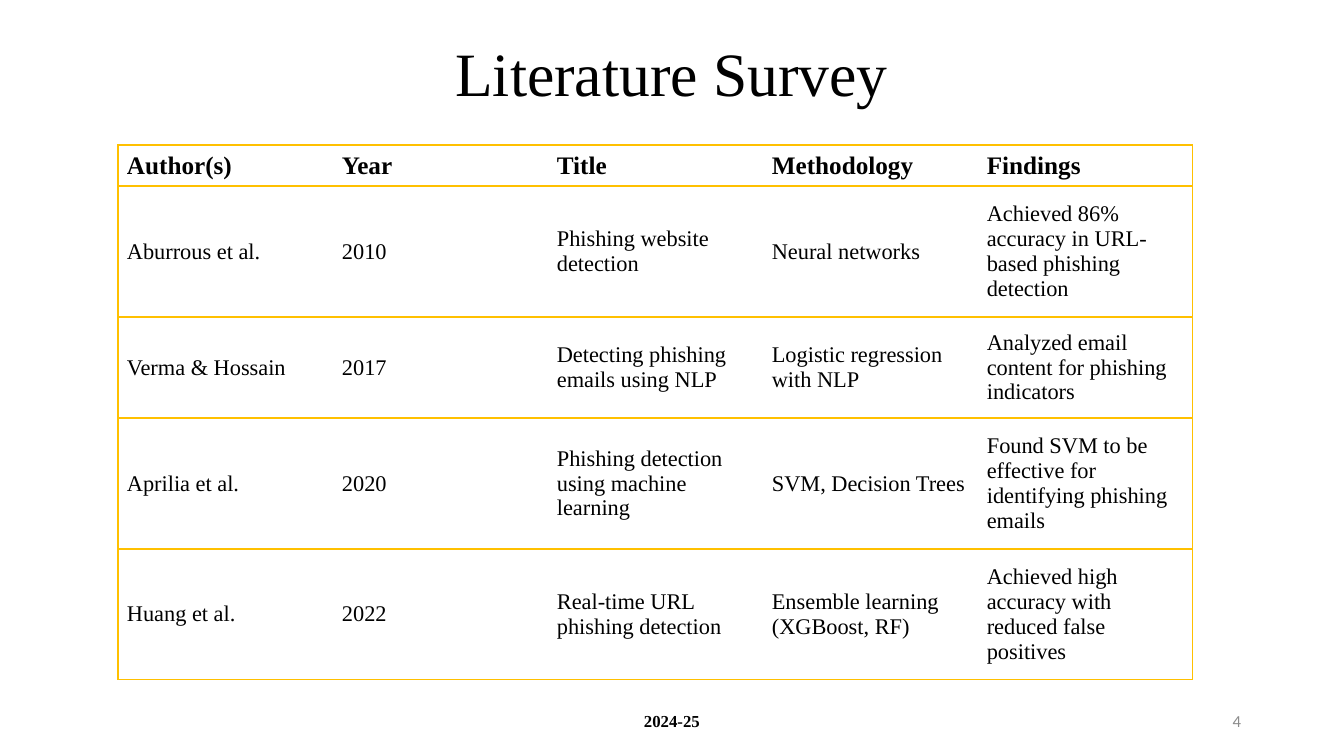
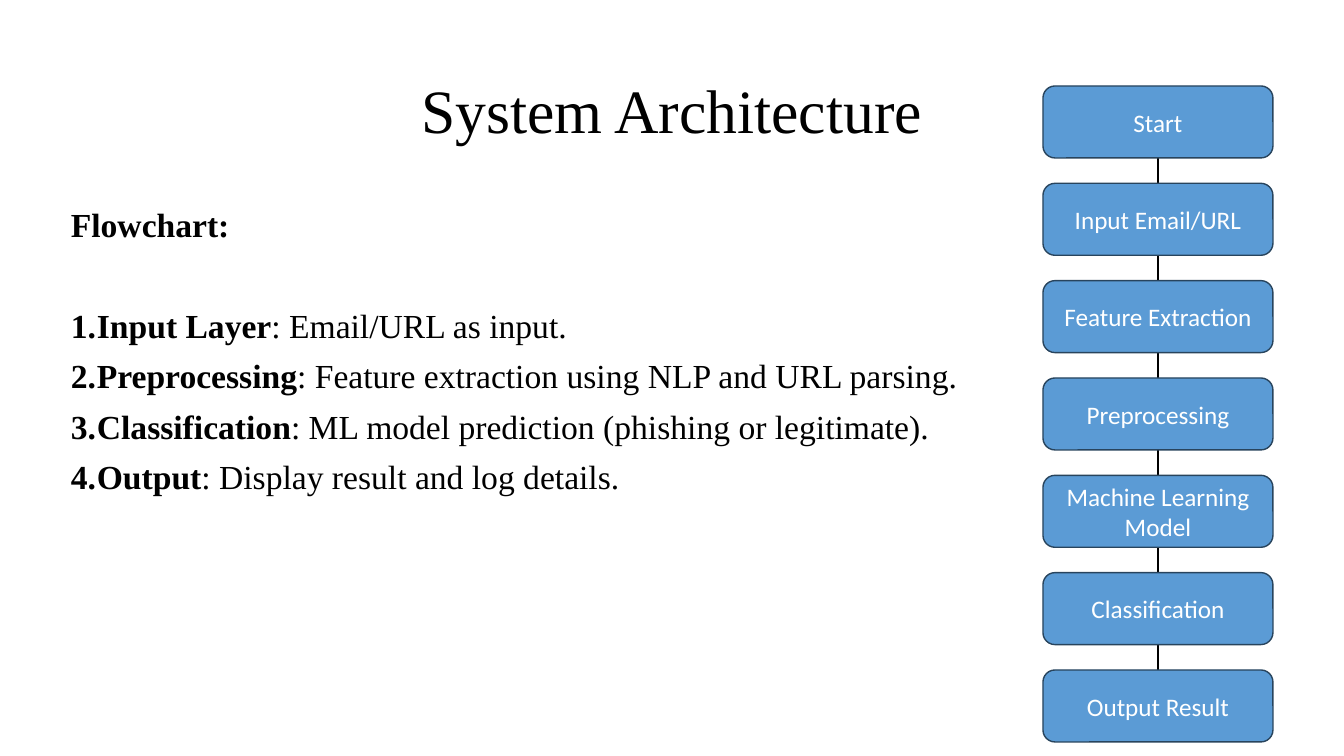
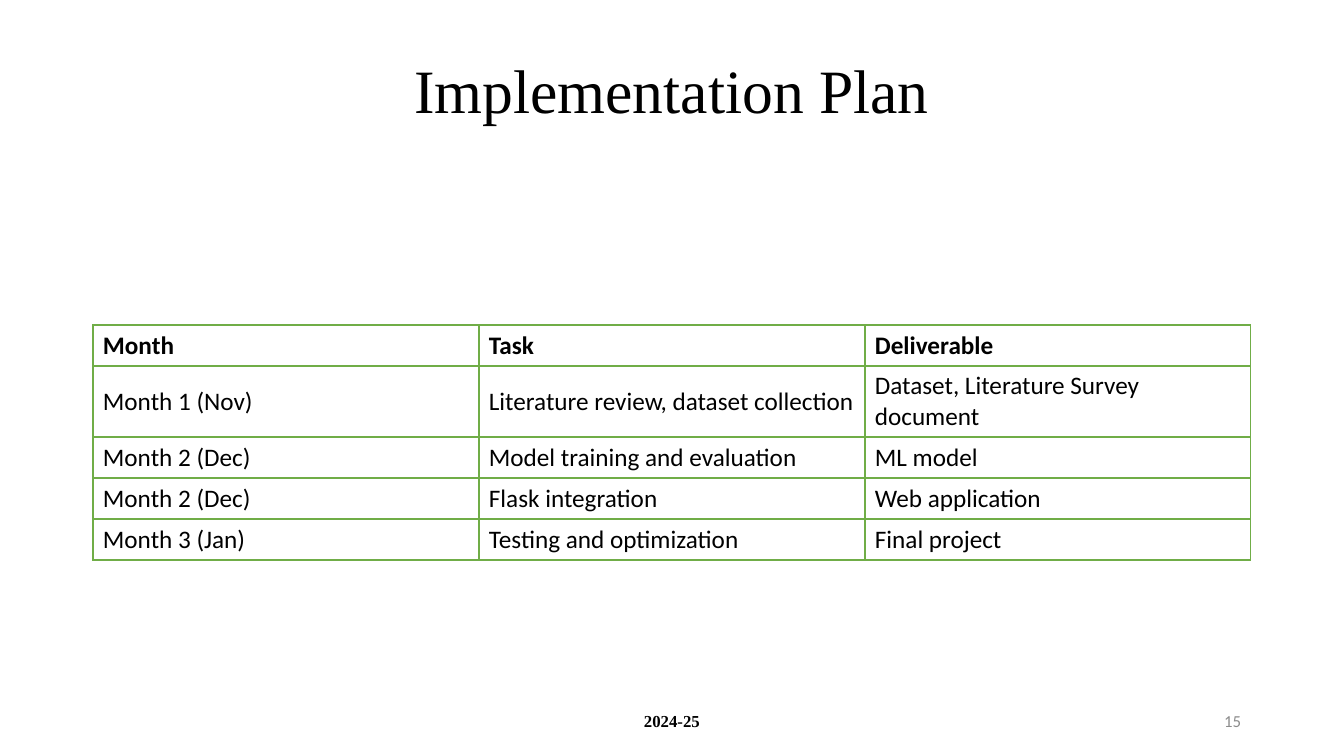
from dataclasses import dataclass

from lxml import etree
from pptx import Presentation
from pptx.dml.color import RGBColor
from pptx.enum.shapes import MSO_CONNECTOR, MSO_SHAPE
from pptx.enum.text import MSO_ANCHOR, PP_ALIGN
from pptx.oxml.ns import qn
from pptx.util import Emu, Pt

EMU_PER_PX = 914400 / 100.8
LEFT, CENTER, RIGHT = PP_ALIGN.LEFT, PP_ALIGN.CENTER, PP_ALIGN.RIGHT
TOP, MIDDLE = MSO_ANCHOR.TOP, MSO_ANCHOR.MIDDLE
ROUNDED = MSO_SHAPE.ROUNDED_RECTANGLE
STRAIGHT = MSO_CONNECTOR.STRAIGHT
SIDE_TOP, SIDE_BOTTOM = 0, 2
PLAIN_TABLE_STYLE = "{2D5ABB26-0587-4C30-8999-92F81FD0307C}"


@dataclass(frozen=True)
class Theme:
    serif: str = "Times New Roman"
    sans: str = "Calibri"
    black: str = "000000"
    white: str = "FFFFFF"
    gray: str = "8C8C8C"
    gold: str = "FFC000"
    green: str = "70AD47"
    blue: str = "5B9BD5"
    navy: str = "28445D"
    title_size: int = 44
    body_size: int = 24
    label_size: int = 18
    cell_size: int = 16
    footer_size: int = 12


THEME = Theme()


@dataclass(frozen=True)
class TableStyle:
    font: str
    header_size: int
    cell_size: int
    border: str
    inner_verticals: bool
    margins: tuple


SURVEY_STYLE = TableStyle(THEME.serif, THEME.label_size, THEME.cell_size,
                          THEME.gold, False, (9, 4))
PLAN_STYLE = TableStyle(THEME.sans, THEME.label_size, THEME.label_size,
                        THEME.green, True, (10, 5))

SURVEY_ROWS = [
    ("Author(s)", "Year", "Title", "Methodology", "Findings"),
    ("Aburrous et al.", "2010", "Phishing website detection", "Neural networks",
     "Achieved 86% accuracy in URL-based phishing detection"),
    ("Verma & Hossain", "2017", "Detecting phishing emails using NLP",
     "Logistic regression with NLP",
     "Analyzed email content for phishing indicators"),
    ("Aprilia et al.", "2020", "Phishing detection using machine learning",
     "SVM, Decision Trees",
     "Found SVM to be effective for identifying phishing emails"),
    ("Huang et al.", "2022", "Real-time URL phishing detection",
     "Ensemble learning (XGBoost, RF)",
     "Achieved high accuracy with reduced false positives"),
]
PLAN_ROWS = [
    ("Month", "Task", "Deliverable"),
    ("Month 1 (Nov)", "Literature review, dataset collection",
     "Dataset, Literature Survey document"),
    ("Month 2 (Dec)", "Model training and evaluation", "ML model"),
    ("Month 2 (Dec)", "Flask integration", "Web application"),
    ("Month 3 (Jan)", "Testing and optimization", "Final project"),
]
LAYERS = [
    ("Input Layer", ": Email/URL as input."),
    ("Preprocessing", ": Feature extraction using NLP and URL parsing."),
    ("Classification", ": ML model prediction (phishing or legitimate)."),
    ("Output", ": Display result and log details."),
]
FLOW_STEPS = ["Start", "Input Email/URL", "Feature Extraction", "Preprocessing",
              "Machine Learning Model", "Classification", "Output Result"]


def px(length):
    return Emu(round(length * EMU_PER_PX))


def color(value):
    return RGBColor.from_string(value)


def add_run(paragraph, text, font, size, text_color=THEME.black, bold=False):
    run = paragraph.add_run()
    run.text = text
    run.font.name = font
    run.font.size = Pt(size)
    run.font.bold = bold
    run.font.color.rgb = color(text_color)


def add_text_frame(slide, box, anchor=MIDDLE):
    frame = slide.shapes.add_textbox(*map(px, box)).text_frame
    frame.word_wrap = True
    frame.vertical_anchor = anchor
    return frame


def add_line(slide, box, text, alignment, *style):
    paragraph = add_text_frame(slide, box).paragraphs[0]
    paragraph.alignment = alignment
    add_run(paragraph, text, *style)
    return paragraph


# Shared title and footer
def add_title(slide, text, top):
    paragraph = add_line(slide, (92, top, 1160, 90), text, CENTER,
                         THEME.serif, THEME.title_size)
    paragraph.line_spacing = 0.9


def add_footer(slide, page):
    top, height = 701, 40
    add_line(slide, (445, top, 454, height), "2024-25", CENTER,
             THEME.serif, THEME.footer_size, THEME.black, True)
    add_line(slide, (949, top, 302, height), str(page), RIGHT,
             THEME.sans, THEME.footer_size, THEME.gray)


# Tables
def set_borders(cell, sides, border):
    properties = cell._tc.get_or_add_tcPr()
    for index, side in enumerate("LRTB"):
        line = etree.Element(qn(f"a:ln{side}"), w=str(Pt(1)))
        if side in sides:
            fill = etree.SubElement(line, qn("a:solidFill"))
            etree.SubElement(fill, qn("a:srgbClr"), val=border)
        else:
            etree.SubElement(line, qn("a:noFill"))
        properties.insert(index, line)


def add_grid(slide, left, top, widths, heights, rows, style):
    box = (left, top, sum(widths), sum(heights))
    table = slide.shapes.add_table(len(rows), len(widths), *map(px, box)).table
    table.horz_banding = False
    table._tbl.tblPr.find(qn("a:tableStyleId")).text = PLAIN_TABLE_STYLE
    for column, width in zip(table.columns, widths):
        column.width = px(width)
    for row, height in zip(table.rows, heights):
        row.height = px(height)

    last = len(widths) - 1
    for row_index, texts in enumerate(rows):
        header = row_index == 0
        size = style.header_size if header else style.cell_size
        for column_index, text in enumerate(texts):
            cell = table.cell(row_index, column_index)
            cell.vertical_anchor = MIDDLE
            cell.margin_left = cell.margin_right = px(style.margins[0])
            cell.margin_top = cell.margin_bottom = px(style.margins[1])
            cell.fill.solid()
            cell.fill.fore_color.rgb = color(THEME.white)
            sides = "TB"
            if style.inner_verticals or column_index == 0:
                sides += "L"
            if style.inner_verticals or column_index == last:
                sides += "R"
            set_borders(cell, sides, style.border)
            add_run(cell.text_frame.paragraphs[0], text, style.font, size,
                    THEME.black, header)


# Numbered description of the layers
def number_paragraph(paragraph, indent):
    properties = paragraph._p.get_or_add_pPr()
    properties.set("marL", str(px(indent)))
    properties.set("indent", str(-px(indent)))
    etree.SubElement(properties, qn("a:buFont"), typeface=THEME.serif)
    etree.SubElement(properties, qn("a:buAutoNum"), type="arabicPeriod")


def add_layer_list(slide, box):
    frame = add_text_frame(slide, box, TOP)
    heading = frame.paragraphs[0]
    heading.line_spacing = 0.9
    add_run(heading, "Flowchart:", THEME.serif, THEME.body_size, THEME.black, True)
    for index, (name, description) in enumerate(LAYERS):
        paragraph = frame.add_paragraph()
        paragraph.alignment = LEFT
        paragraph.line_spacing = 0.9
        paragraph.space_before = Pt(10 if index else 46)
        number_paragraph(paragraph, 26)
        add_run(paragraph, name, THEME.serif, THEME.body_size, THEME.black, True)
        add_run(paragraph, description, THEME.serif, THEME.body_size)


# Flowchart column
def add_step(slide, box, text):
    shape = slide.shapes.add_shape(ROUNDED, *map(px, box))
    shape.shadow.inherit = False
    shape.fill.solid()
    shape.fill.fore_color.rgb = color(THEME.blue)
    shape.line.color.rgb = color(THEME.navy)
    shape.line.width = Pt(1)
    frame = shape.text_frame
    frame.word_wrap = True
    frame.vertical_anchor = MIDDLE
    paragraph = frame.paragraphs[0]
    paragraph.alignment = CENTER
    add_run(paragraph, text, THEME.sans, THEME.label_size, THEME.white)
    return shape


def add_flowchart(slide, left, top, width, height, step_height=72):
    # One line runs behind all the steps, from the first to the last
    spine = slide.shapes.add_connector(STRAIGHT, 0, 0, 0, 0)
    spine.line.color.rgb = color(THEME.black)
    spine.line.width = Pt(1.5)
    etree.SubElement(spine._element.spPr, qn("a:effectLst"))

    pitch = (height - step_height) / (len(FLOW_STEPS) - 1)
    steps = [add_step(slide, (left, top + index * pitch, width, step_height), text)
             for index, text in enumerate(FLOW_STEPS)]
    spine.begin_connect(steps[0], SIDE_BOTTOM)
    spine.end_connect(steps[-1], SIDE_TOP)


# Slides
def build_survey(slide):
    add_title(slide, "Literature Survey", 32)
    add_grid(slide, 118, 145, [215] * 5, [41, 131, 101, 131, 131],
             SURVEY_ROWS, SURVEY_STYLE)
    add_footer(slide, 4)


def build_architecture(slide):
    add_title(slide, "System Architecture", 69)
    add_layer_list(slide, (61, 204, 933, 512))
    add_flowchart(slide, 1043, 86, 230, 656)


def build_plan(slide):
    add_title(slide, "Implementation Plan", 49)
    add_grid(slide, 93, 325, [386] * 3, [41, 71, 41, 41, 41],
             PLAN_ROWS, PLAN_STYLE)
    add_footer(slide, 15)


def main():
    presentation = Presentation()
    presentation.slide_width = px(1344)
    presentation.slide_height = px(756)
    blank = presentation.slide_layouts[6]
    for build in (build_survey, build_architecture, build_plan):
        build(presentation.slides.add_slide(blank))
    presentation.save("out.pptx")


if __name__ == "__main__":
    main()
